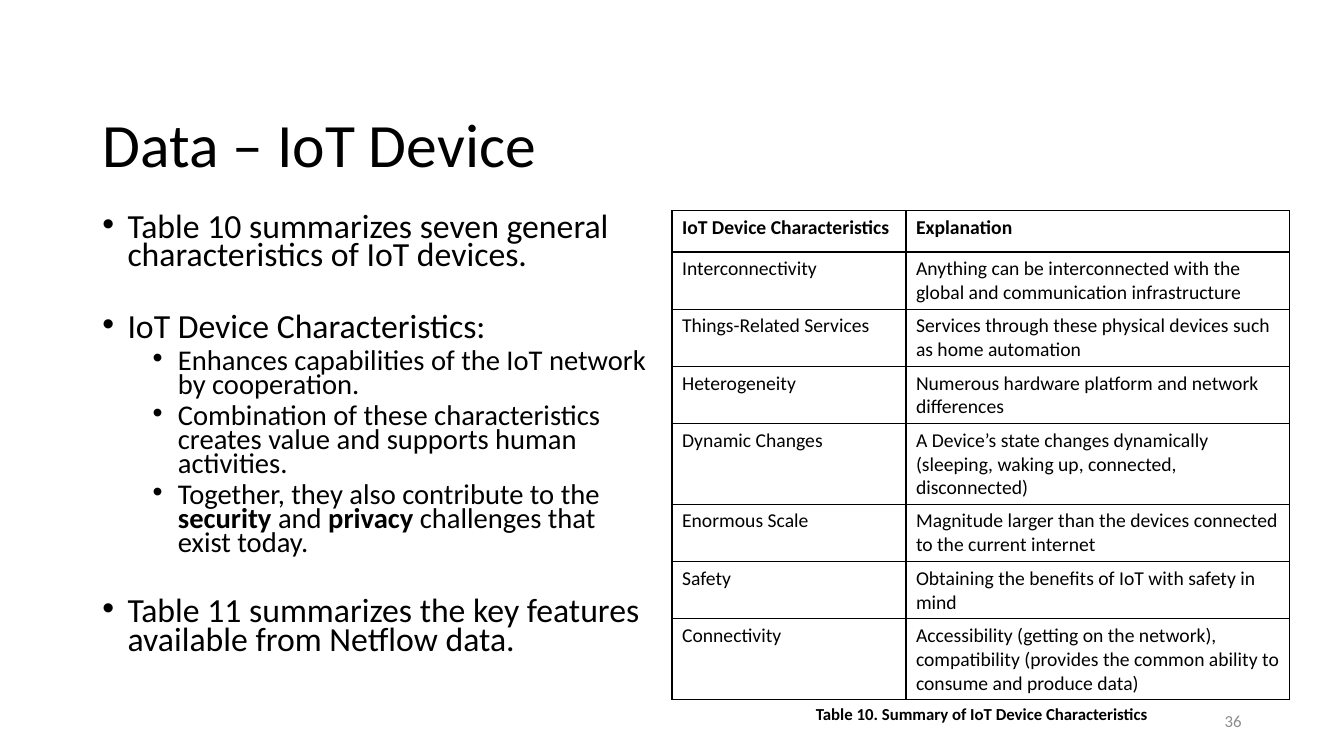
from lxml import etree
from pptx import Presentation
from pptx.dml.color import RGBColor
from pptx.enum.text import MSO_ANCHOR, PP_ALIGN
from pptx.oxml.ns import qn
from pptx.util import Inches, Pt

BLACK = RGBColor(0x00, 0x00, 0x00)
GRAY = RGBColor(0x8C, 0x8C, 0x8C)
TOP, MIDDLE, BOTTOM = MSO_ANCHOR.TOP, MSO_ANCHOR.MIDDLE, MSO_ANCHOR.BOTTOM
LEFT, CENTER, RIGHT = PP_ALIGN.LEFT, PP_ALIGN.CENTER, PP_ALIGN.RIGHT
BLANK_LAYOUT = 6
GRID_COLUMNS, GRID_ROWS = 160, 90

# Level: text size, left indent in inches, space before in points
BULLET_LEVELS = [(24.1, 0.25, 10), (20.4, 0.75, 5)]
SECTION_GAP = 20.8

# Level, starts a new section, spans (every second span is bold)
BULLETS = [
    (0, False, ["Table 10 summarizes seven general characteristics of IoT devices."]),
    (0, True, ["IoT Device Characteristics:"]),
    (1, False, ["Enhances capabilities of the IoT network by cooperation."]),
    (1, False, ["Combination of these characteristics creates value and supports "
                "human activities."]),
    (1, False, ["Together, they also contribute to the ", "security", " and ",
                "privacy", " challenges that exist today."]),
    (0, True, ["Table 11 summarizes the key features available from Netflow data."]),
]

CHARACTERISTICS = [
    ("IoT Device Characteristics", "Explanation"),
    ("Interconnectivity",
     "Anything can be interconnected with the global and communication infrastructure"),
    ("Things-Related Services",
     "Services through these physical devices such as home automation"),
    ("Heterogeneity", "Numerous hardware platform and network differences"),
    ("Dynamic Changes",
     "A Device’s state changes dynamically (sleeping, waking up, connected, disconnected)"),
    ("Enormous Scale",
     "Magnitude larger than the devices connected to the current internet"),
    ("Safety", "Obtaining the benefits of IoT with safety in mind"),
    ("Connectivity",
     "Accessibility (getting on the network), compatibility (provides the common "
     "ability to consume and produce data)"),
]


class SlideBuilder:
    """Places styled elements on a grid of 160 columns by 90 rows."""

    font_name = "Calibri"

    def __init__(self, deck):
        self.slide = deck.slides.add_slide(deck.slide_layouts[BLANK_LAYOUT])
        self.column = deck.slide_width / GRID_COLUMNS
        self.row = deck.slide_height / GRID_ROWS

    def place(self, left, top, width, height):
        return (round(left * self.column), round(top * self.row),
                round(width * self.column), round(height * self.row))

    def style(self, paragraph, size, color=BLACK, bold=None):
        font = paragraph.font
        font.name, font.size, font.bold = self.font_name, Pt(size), bold
        font.color.rgb = color

    def frame(self, area, anchor=TOP, wrap=True):
        frame = self.slide.shapes.add_textbox(*self.place(*area)).text_frame
        frame.word_wrap = wrap
        frame.vertical_anchor = anchor
        return frame

    def text(self, area, words, size, color=BLACK, bold=None, align=LEFT,
             anchor=TOP, wrap=True, line_spacing=None):
        paragraph = self.frame(area, anchor, wrap).paragraphs[0]
        paragraph.text = words
        paragraph.alignment = align
        paragraph.line_spacing = line_spacing
        self.style(paragraph, size, color, bold)

    def bullets(self, area, items):
        frame = self.frame(area)
        for index, (level, new_section, spans) in enumerate(items):
            paragraph = frame.add_paragraph() if index else frame.paragraphs[0]
            size, indent, space = BULLET_LEVELS[level]
            paragraph.level = level
            paragraph.line_spacing = 0.7
            paragraph.space_before = Pt(space + SECTION_GAP * new_section)
            self.style(paragraph, size)
            for position, words in enumerate(spans):
                span = paragraph.add_run()
                span.text = words
                if position % 2:
                    span.font.bold = True
            self.add_bullet(paragraph, indent)

    def add_bullet(self, paragraph, indent):
        properties = paragraph._p.get_or_add_pPr()
        properties.set("marL", str(Inches(indent)))
        properties.set("indent", str(Inches(-0.25)))
        font = etree.Element(qn("a:buFont"), typeface="Arial")
        mark = etree.Element(qn("a:buChar"), char="•")
        defaults = properties.find(qn("a:defRPr"))
        defaults.addprevious(font)
        defaults.addprevious(mark)

    def table(self, left, top, widths, row_height, records, size):
        area = self.place(left, top, sum(widths), row_height * len(records))
        table = self.slide.shapes.add_table(len(records), len(widths), *area).table
        table.first_row = table.horz_banding = False
        for column, width in zip(table.columns, widths):
            column.width = round(width * self.column)
        for row_index, record in enumerate(records):
            for column_index, words in enumerate(record):
                cell = table.cell(row_index, column_index)
                cell.text = words
                self.style(cell.text_frame.paragraphs[0], size, bold=row_index == 0)
                self.add_borders(cell)
                cell.fill.background()

    def add_borders(self, cell):
        properties = cell._tc.get_or_add_tcPr()
        for side in ("a:lnL", "a:lnR", "a:lnT", "a:lnB"):
            line = etree.SubElement(properties, qn(side), w=str(Pt(1)))
            fill = etree.SubElement(line, qn("a:solidFill"))
            etree.SubElement(fill, qn("a:srgbClr"), val=str(BLACK))


def main():
    deck = Presentation()
    deck.slide_width, deck.slide_height = Inches(13.33), Inches(7.5)
    page = SlideBuilder(deck)

    # Title and bullet list
    page.text((11, 4.7, 138, 17.4), "Data – IoT Device", 44,
              anchor=BOTTOM, line_spacing=0.9)
    page.bullets((11, 25.1, 67.3, 54.7), BULLETS)

    # Table with its caption
    page.table(80, 25.1, (27.85, 45.7), 4.9, CHARACTERISTICS, 14)
    page.text((95.7, 83.2, 42.4, 3.6), "Table 10. Summary of IoT Device Characteristics",
              12, bold=True, align=CENTER, wrap=False)

    # Page number
    page.text((113, 83.4, 36, 4.8), "36", 12, color=GRAY, align=RIGHT, anchor=MIDDLE)

    deck.save("out.pptx")


if __name__ == "__main__":
    main()
